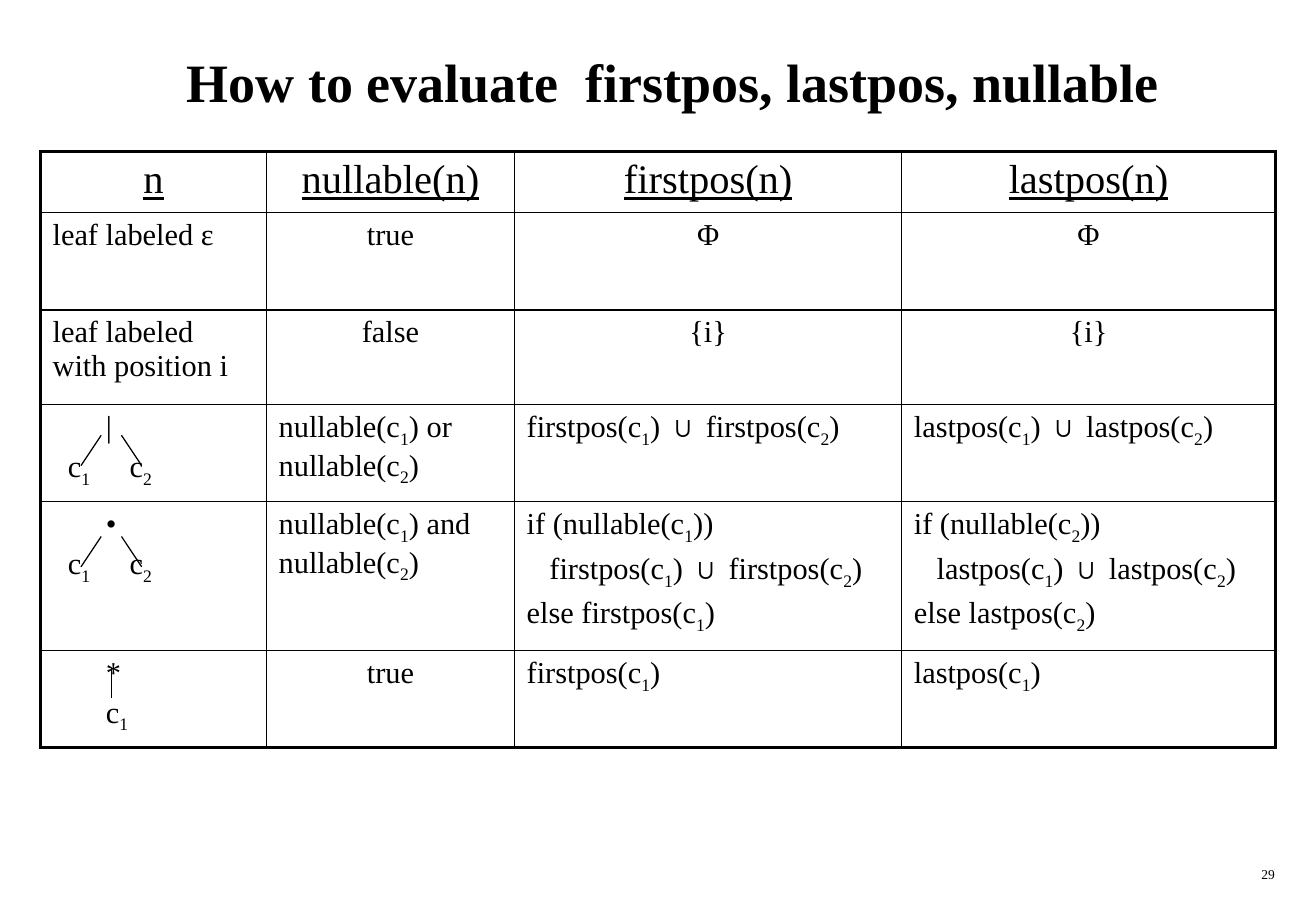
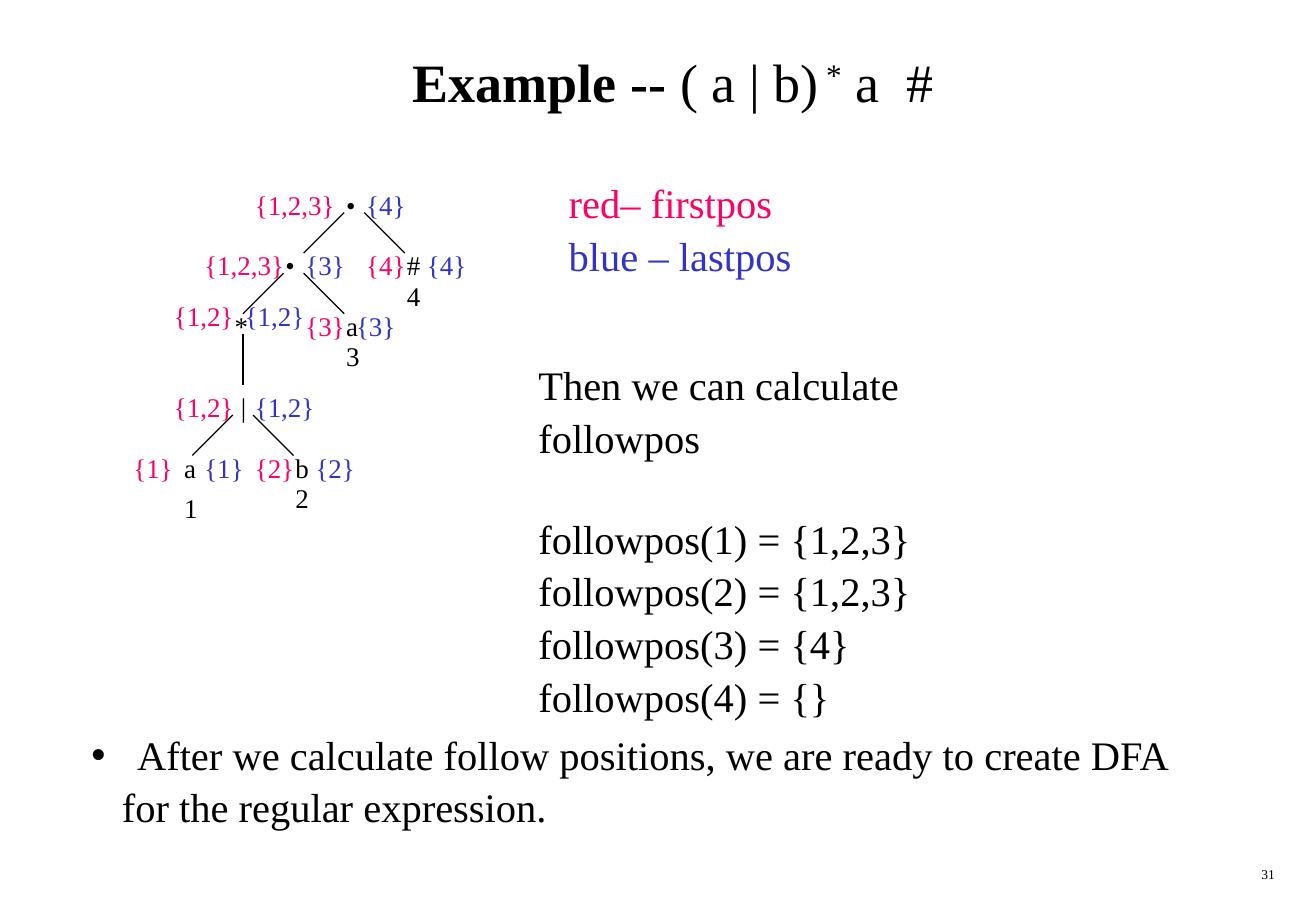
"""Builds two slides on firstpos, lastpos, nullable and followpos."""
import pptx
import pptx.dml.color
import pptx.enum.shapes
import pptx.enum.text
import pptx.oxml.ns
import pptx.util
import lxml.etree

Pt = pptx.util.Pt
qn = pptx.oxml.ns.qn
ALIGN = pptx.enum.text.PP_ALIGN
ANCHOR = pptx.enum.text.MSO_ANCHOR
BLACK = pptx.dml.color.RGBColor(0x00, 0x00, 0x00)
RED = pptx.dml.color.RGBColor(0xFF, 0x00, 0x66)
BLUE = pptx.dml.color.RGBColor(0x33, 0x33, 0xCC)
FONT = "Times New Roman"
GRID = 6


def write(para, text, size, color=BLACK, baseline=0, **extra):
    """Adds text to a paragraph; each character after an underscore is a subscript."""
    first, *rest = text.split("_")
    pieces = [(first, baseline)]
    for part in rest:
        pieces += [(part[0], -25), (part[1:], 0)]
    for piece, shift in pieces:
        if not piece:
            continue
        span = para.add_run()
        span.text = piece
        formats = {"name": FONT, "size": Pt(size), **extra}
        for key, value in formats.items():
            setattr(span.font, key, value)
        span.font.color.rgb = color
        if shift:
            span._r.get_or_add_rPr().set("baseline", str(shift * 1000))


def add_text(page, place, lines, size, align=ALIGN.LEFT):
    """Adds a text box; each line is text, colour and space before."""
    box = page.shapes.add_textbox(*[Pt(value) for value in place])
    frame = box.text_frame
    frame.word_wrap = True
    for index, (text, color, space) in enumerate(lines):
        para = frame.add_paragraph() if index else frame.paragraphs[0]
        para.alignment = align
        if index:
            para.space_before = Pt(space)
        write(para, text, size, color)


deck = pptx.Presentation()
deck.slide_width, deck.slide_height = Pt(780), Pt(540)

pages = []
for layout, number, title in [
    (5, "29", [("How to evaluate  firstpos, lastpos, nullable", True, 0)]),
    (1, "31", [("Example -- ", True, 0), ("( a | b)", False, 0),
               (" *", False, 30), (" a  #", False, 0)]),
]:
    page = deck.slides.add_slide(deck.slide_layouts[layout])
    pages.append(page)
    heading = page.shapes.title
    heading.left, heading.top, heading.width, heading.height = Pt(30), Pt(12), Pt(738), Pt(72)
    heading.text_frame.vertical_anchor = ANCHOR.MIDDLE
    para = heading.text_frame.paragraphs[0]
    para.alignment = ALIGN.CENTER
    for text, bold, baseline in title:
        write(para, text, 32, baseline=baseline, bold=bold)
    add_text(page, (600, 510, 162.7, 18), [(number, BLACK, 0)], 8, ALIGN.RIGHT)
rules_page, example_page = pages

column_widths = [134, 147, 229.5, 221.5]
row_heights = [36, 57.6, 56.2, 57.6, 80.6, 57.6]
CHILDREN = "\tc_1\tc_2"
rules = [
    ["n", "nullable(n)", "firstpos(n)", "lastpos(n)"],
    ["leaf labeled ε", "true", "Φ", "Φ"],
    ["leaf labeled with position i", "false", "{i}", "{i}"],
    [f"|\n{CHILDREN}", "nullable(c_1) or nullable(c_2)"],
    [f"•\n{CHILDREN}", "nullable(c_1) and nullable(c_2)"],
    ["*\nc_1", "true"],
]
for name in ["firstpos", "lastpos"]:
    child = 1 if name == "firstpos" else 2
    union = f"{name}(c_1) ∪ {name}(c_2)"
    rules[3].append(union)
    rules[4].append(f"if (nullable(c_{child}))\n{union}\nelse {name}(c_{child})")
    rules[5].append(f"{name}(c_1)")

table = rules_page.shapes.add_table(
    len(rules), len(column_widths), Pt(24), Pt(90), Pt(sum(column_widths)), Pt(sum(row_heights))).table
table.first_row = table.horz_banding = False
for column, width in zip(table.columns, column_widths):
    column.width = Pt(width)
for row, height in zip(table.rows, row_heights):
    row.height = Pt(height)

for row, texts in enumerate(rules):
    for column, text in enumerate(texts):
        cell = table.cell(row, column)
        outer = {"lnL": column == 0, "lnR": column == len(texts) - 1,
                 "lnT": row == 0, "lnB": row == len(rules) - 1}
        properties = cell._tc.get_or_add_tcPr()
        for side, is_outer in outer.items():
            border = lxml.etree.SubElement(properties, qn(f"a:{side}"), w=str(Pt(2.25 if is_outer else 1)))
            fill = lxml.etree.SubElement(border, qn("a:solidFill"))
            lxml.etree.SubElement(fill, qn("a:srgbClr"), val=str(BLACK))
        cell.fill.background()
        centred = row == 0 or (column > 0 and row < 3) or (column == 1 and row == 5)
        for index, line in enumerate(text.split("\n")):
            para = cell.text_frame.add_paragraph() if index else cell.text_frame.paragraphs[0]
            settings = para._p.get_or_add_pPr()
            if line == CHILDREN:
                tabs = lxml.etree.SubElement(settings, qn("a:tabLst"))
                for stop in [9, 45.6]:
                    lxml.etree.SubElement(tabs, qn("a:tab"), pos=str(Pt(stop)), algn="l")
            elif column == 0 and row > 2:
                settings.set("marL", str(Pt(31.5)))
            elif row == 4 and index == 1:
                settings.set("marL", str(Pt(13.5)))
            para.alignment = ALIGN.CENTER if centred else ALIGN.LEFT
            if index:
                para.space_before = Pt(3.6)
            write(para, line, 18 if row else 24, underline=row == 0)

rule_edges = [(11, 66, 11, 69)]
for top in [43, 53]:
    rule_edges += [(10, top, 8, top + 3), (12, top, 14, top + 3)]
example_edges = [(24, 33, 24, 38)]
for middle, top in [(35, 21), (29, 27), (24, 41)]:
    example_edges += [(middle - 1, top, middle - 5, top + 4), (middle + 1, top, middle + 5, top + 4)]
for page, edges in [(rules_page, rule_edges), (example_page, example_edges)]:
    for edge in edges:
        line = page.shapes.add_connector(
            pptx.enum.shapes.MSO_CONNECTOR.STRAIGHT, *[Pt(value * GRID) for value in edge])
        line.line.color.rgb = BLACK
        line.line.width = Pt(0.75)
        lxml.etree.SubElement(line._element.spPr, qn("a:effectLst"))

tree_labels = {
    BLACK: [("•", 33, 18), ("*", 22, 30), ("•", 27, 24), ("|", 22.6, 38), ("b", 28, 44),
            ("a", 33, 30), ("#", 39, 24), ("a", 17, 44), ("1", 17, 48), ("4", 39, 27),
            ("3", 33, 33), ("2", 28, 47)],
    RED: [("{1}", 12, 44), ("{1,2,3}", 24, 18), ("{3}", 29, 30), ("{1,2,3}", 19, 24),
          ("{1,2}", 16, 29), ("{1,2}", 16, 38), ("{2}", 24, 44), ("{4}", 35, 24)],
    BLUE: [("{1}", 19, 44), ("{4}", 35, 18), ("{4}", 41, 24), ("{3}", 29, 24),
           ("{3}", 34, 30), ("{1,2}", 23, 29), ("{1,2}", 24, 38), ("{2}", 30, 44)],
}
for color, labels in tree_labels.items():
    for text, left, top in labels:
        place = (left * GRID, top * GRID, 21 + 6 * len(text), 26.6)
        add_text(example_page, place, [(text, color, 0)], 16)

LINE_GAP = 2.4
add_text(example_page, (330, 102, 154, 65.5),
         [("red– firstpos", RED, 0), ("blue – lastpos", BLUE, LINE_GAP)], 24)
followpos = [("Then we can calculate", BLACK, 0), ("followpos", BLACK, LINE_GAP)]
for position, result in enumerate(["{1,2,3}", "{1,2,3}", "{4}", "{}"], 1):
    gap = 31 if position == 1 else LINE_GAP
    followpos.append((f"followpos({position}) = {result}", BLACK, gap))
add_text(example_page, (312, 210, 330, 180), followpos, 24)

body = example_page.placeholders[1]
body.left, body.top, body.width, body.height = Pt(47), Pt(429), Pt(665), Pt(65)
body.text_frame.auto_size = pptx.enum.text.MSO_AUTO_SIZE.NONE
conclusion = [
    ("After we calculate follow positions, we are ready to create DFA", 27, -27, "•"),
    ("for the regular expression.", 18, 0, None),
]
for index, (text, margin, indent, bullet) in enumerate(conclusion):
    para = body.text_frame.add_paragraph() if index else body.text_frame.paragraphs[0]
    settings = para._p.get_or_add_pPr()
    settings.set("marL", str(Pt(margin)))
    settings.set("indent", str(Pt(indent)))
    if bullet:
        lxml.etree.SubElement(settings, qn("a:buChar"), char=bullet)
    else:
        lxml.etree.SubElement(settings, qn("a:buNone"))
    para.space_before = Pt(LINE_GAP if index else 0)
    write(para, text, 24)

deck.save("out.pptx")
